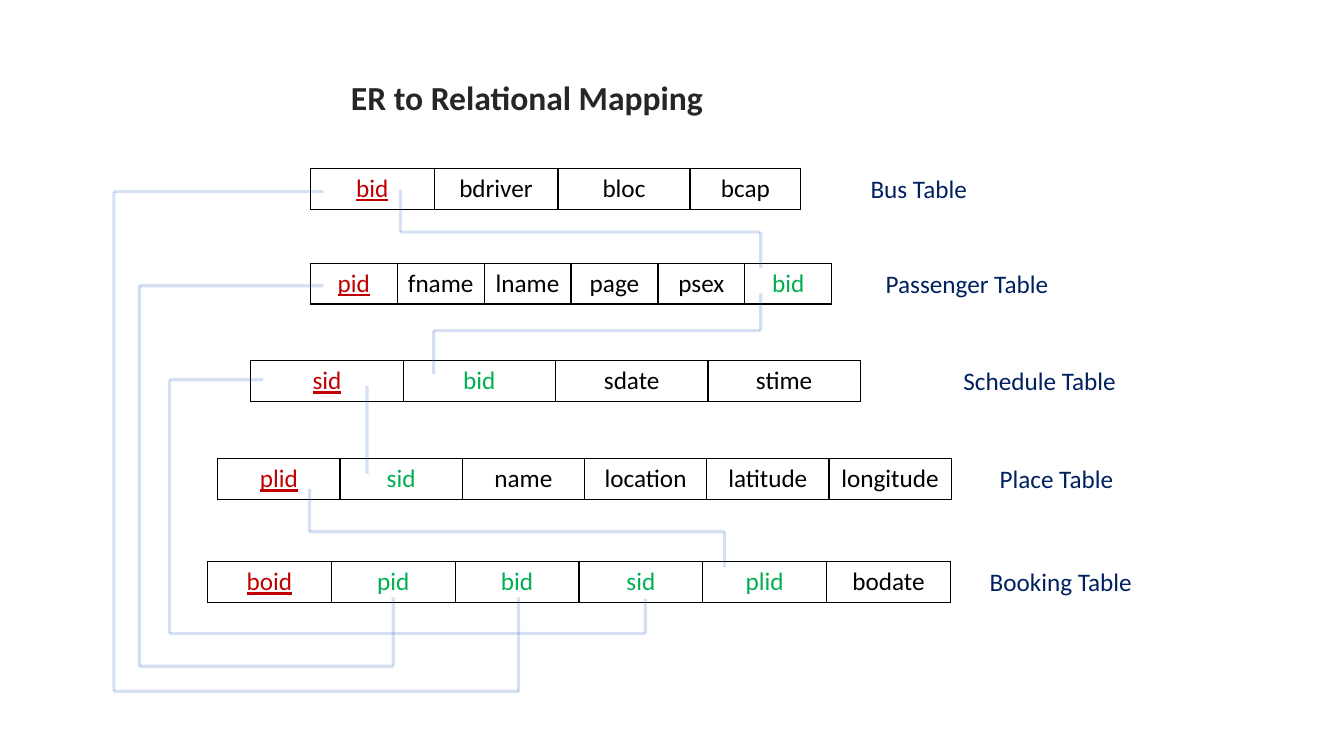
"""Build the slide that maps an ER model to relational tables."""
from dataclasses import dataclass
from itertools import pairwise

from lxml.etree import SubElement
from pptx import Presentation
from pptx.dml.color import RGBColor
from pptx.enum.shapes import MSO_CONNECTOR
from pptx.enum.text import MSO_ANCHOR, PP_ALIGN
from pptx.oxml import parse_xml
from pptx.oxml.ns import nsdecls, qn
from pptx.util import Cm, Pt


@dataclass(frozen=True)
class Theme:
    font: str = "Calibri"
    title: str = "262626"
    label: str = "002060"
    primary: str = "C00000"
    foreign: str = "00B050"
    text: str = "000000"
    link: str = "4472C4"
    link_alpha: int = 21000
    title_size: int = 24
    text_size: int = 18
    link_width: float = 2.25


theme = Theme()


def style(tf, color, size=theme.text_size, bold=False, underline=False, align=PP_ALIGN.LEFT):
    p = tf.paragraphs[0]
    p.alignment = align
    font = p.runs[0].font
    font.name, font.size = theme.font, Pt(size)
    font.bold, font.underline = bold, underline
    font.color.rgb = RGBColor.from_string(color)


def add_borders(cell):
    tcPr = cell._tc.get_or_add_tcPr()
    for i, side in enumerate(("lnL", "lnR", "lnT", "lnB")):
        tcPr.insert(i, parse_xml(
            f'<a:{side} {nsdecls("a")} w="12700"><a:solidFill>'
            f'<a:srgbClr val="{theme.text}"/></a:solidFill></a:{side}>'))


prs = Presentation()
prs.slide_width, prs.slide_height = Cm(33.87), Cm(19.05)
slide = prs.slides.add_slide(prs.slide_layouts[5])

title = slide.shapes.title
title.left, title.top, title.width, title.height = Cm(8.59), Cm(1.8), Cm(9.47), Cm(1.27)
tf = title.text_frame
tf.text = "ER to Relational Mapping"
tf.word_wrap = False
tf.vertical_anchor = MSO_ANCHOR.MIDDLE
style(tf, theme.title, theme.title_size, bold=True)

row_height = 1.03
relations = [
    ("Bus Table", 21.69, 2.97, 7.82, 4.24, [3.12, 3.12, 3.33, 2.79],
     "bid bdriver bloc bcap"),
    ("Passenger Table", 22.07, 4.65, 7.82, 6.63, [2.19] * 6,
     "pid fname lname page psex bid"),
    ("Schedule Table", 24.03, 4.39, 6.32, 9.09, [3.84] * 4,
     "sid bid sdate stime"),
    ("Place Table", 24.94, 3.4, 5.49, 11.56, [3.08] * 6,
     "plid sid name location latitude longitude"),
    ("Booking Table", 24.69, 4.14, 5.23, 14.15, [3.12] * 6,
     "boid pid bid sid plid bodate"),
]
keys = {fields.split()[0] for *_, fields in relations}

for name, label_left, label_width, left, top, widths, fields in relations:
    table = slide.shapes.add_table(
        1, len(widths), Cm(left), Cm(top), Cm(sum(widths)), Cm(row_height)).table
    table.first_row = table.horz_banding = False
    for i, (field, width) in enumerate(zip(fields.split(), widths)):
        table.columns[i].width = Cm(width)
        cell = table.cell(0, i)
        cell.text = field
        cell.margin_left = cell.margin_right = Cm(0.2)
        cell.fill.background()
        add_borders(cell)
        color = theme.primary if i == 0 else theme.foreign if field in keys else theme.text
        style(cell.text_frame, color, underline=i == 0, align=PP_ALIGN.CENTER)

    label = slide.shapes.add_textbox(Cm(label_left), Cm(top), Cm(label_width), Cm(row_height))
    label.text_frame.text = name
    label.text_frame.word_wrap = False
    style(label.text_frame, theme.label)

links = [
    [(8.15, 4.83), (2.87, 4.83), (2.87, 17.42), (13.07, 17.42), (13.07, 15.04)],
    [(8.15, 7.2), (3.51, 7.2), (3.51, 16.79), (9.91, 16.79), (9.91, 15.04)],
    [(6.63, 9.57), (4.27, 9.57), (4.27, 15.96), (16.26, 15.96), (16.26, 15.09)],
    [(10.09, 4.78), (10.09, 5.85), (19.17, 5.85), (19.17, 6.76)],
    [(7.8, 12.32), (7.8, 13.4), (18.26, 13.4), (18.26, 14.3)],
    [(9.25, 9.73), (9.25, 11.94)],
    [(19.17, 7.39), (19.17, 8.33), (10.93, 8.33), (10.93, 9.42)],
]
for points in links:
    for start, end in pairwise(points):
        line = slide.shapes.add_connector(
            MSO_CONNECTOR.STRAIGHT, *(Cm(v) for v in start + end))
        line.line.width = Pt(theme.link_width)
        line.line.color.rgb = RGBColor.from_string(theme.link)
        spPr = line._element.spPr
        SubElement(next(spPr.iter(qn("a:srgbClr"))), qn("a:alpha"), val=str(theme.link_alpha))
        SubElement(spPr, qn("a:effectLst"))

prs.save("out.pptx")
